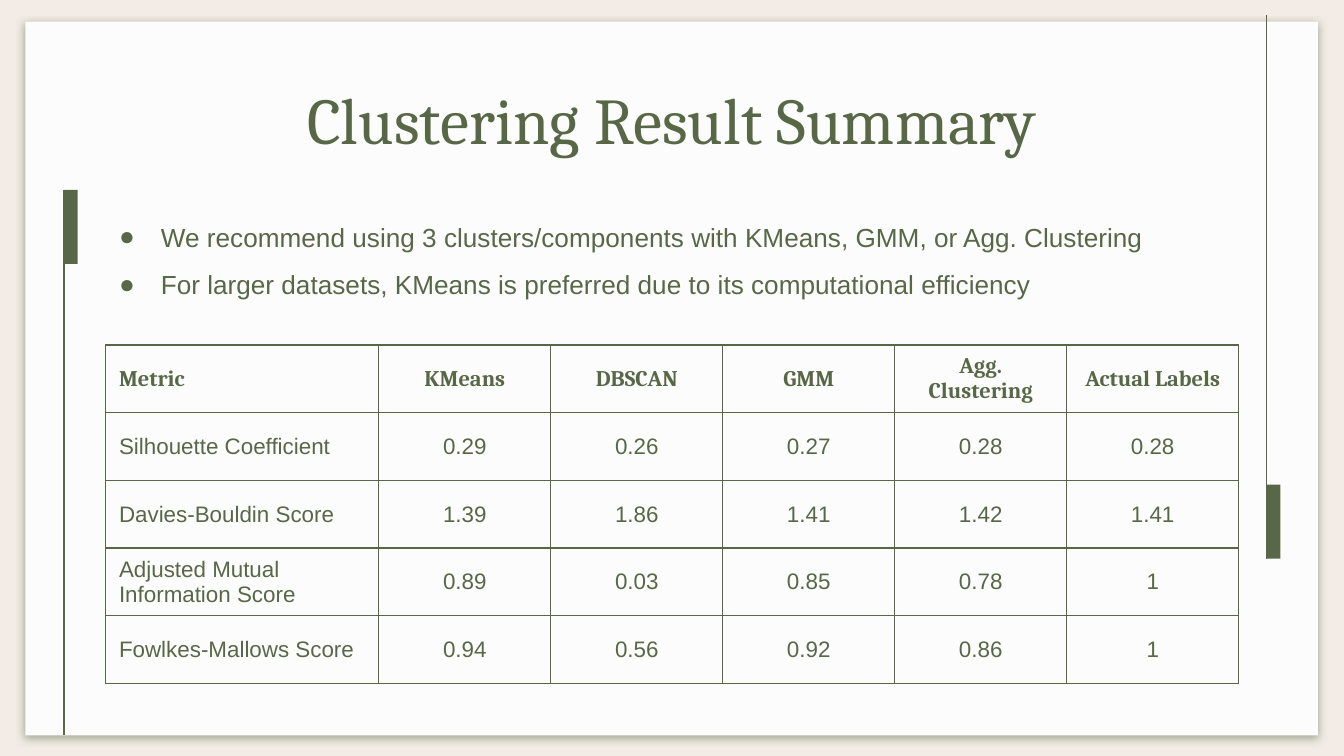
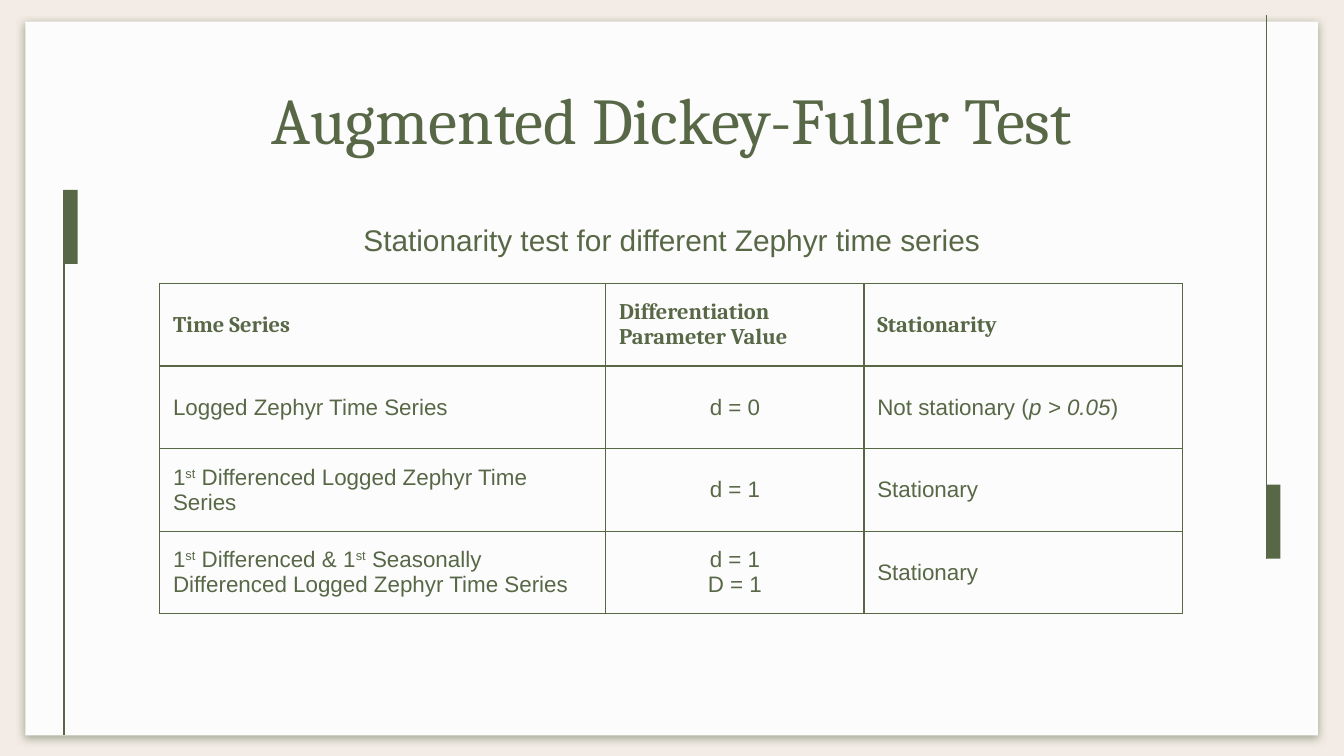
"""Build two slides that sum up clustering scores and a stationarity test."""
from lxml.etree import SubElement
from pptx import Presentation
from pptx.dml.color import RGBColor as RGB
from pptx.enum.shapes import MSO_CONNECTOR as CONN, MSO_SHAPE as SHAPE
from pptx.enum.text import MSO_ANCHOR as ANCHOR, MSO_AUTO_SIZE as AUTO, PP_ALIGN as ALIGN
from pptx.oxml.ns import qn
from pptx.util import Cm, Pt

COLORS = {"back": "F3ECE6", "panel": "FCFCFC", "green": "586847"}
HEAD, BODY = "Cambria", "Arial"

SLIDES = [
    {
        "title": "Clustering Result Summary",
        "body": [
            "We recommend using 3 clusters/components with KMeans, GMM, or Agg. Clustering",
            "For larger datasets, KMeans is preferred due to its computational efficiency",
        ],
        "bullets": True, "body_size": 14, "body_height": 2.24,
        "left": 2, "top": 6.52, "cols": [5.16] + [3.25] * 5, "row": 1.28,
        "centred": range(1, 6), "centre_header": True,
        "rows": [
            ["Metric", "KMeans", "DBSCAN", "GMM", "Agg. Clustering", "Actual Labels"],
            ["Silhouette Coefficient", "0.29", "0.26", "0.27", "0.28", "0.28"],
            ["Davies-Bouldin Score", "1.39", "1.86", "1.41", "1.42", "1.41"],
            ["Adjusted Mutual Information Score", "0.89", "0.03", "0.85", "0.78", "1"],
            ["Fowlkes-Mallows Score", "0.94", "0.56", "0.92", "0.86", "1"],
        ],
    },
    {
        "title": "Augmented Dickey-Fuller Test",
        "body": ["Stationarity test for different Zephyr time series"],
        "bullets": False, "body_size": 16, "body_height": 1.47,
        "left": 3.02, "top": 5.36, "cols": [8.43, 4.88, 6.02], "row": 1.56,
        "centred": [1], "centre_header": False,
        "rows": [
            ["Time Series", "Differentiation Parameter Value", "Stationarity"],
            ["Logged Zephyr Time Series", "d = 0", "Not stationary (|p > 0.05|)"],
            ["1|st| Differenced Logged Zephyr Time Series", "d = 1", "Stationary"],
            ["1|st| Differenced & 1|st| Seasonally Differenced Logged Zephyr Time Series",
             "d = 1\vD = 1", "Stationary"],
        ],
    },
]


def style_runs(p, name, size, bold=False):
    for r in p.runs:
        r.font.name, r.font.size, r.font.bold = name, Pt(size), bold
        r.font.color.rgb = RGB.from_string(COLORS["green"])


def add_color(parent, color):
    fill = SubElement(parent, qn("a:solidFill")) if parent.tag != qn("a:buClr") else parent
    SubElement(fill, qn("a:srgbClr"), val=COLORS[color])


prs = Presentation()
prs.slide_width, prs.slide_height = Cm(25.4), Cm(14.29)
master, layout = prs.slide_master, prs.slide_layouts[1]
master.background.fill.solid()
master.background.fill.fore_color.rgb = RGB.from_string(COLORS["back"])

slides = [prs.slides.add_slide(layout) for _ in SLIDES]
shapes = slides[0].shapes
frame = []
for color, box in [
    ("panel", (0.48, 0.41, 24.43, 13.49)),
    ("green", (1.21, 3.59, 0.26, 1.4)),
    ("green", (23.94, 9.16, 0.26, 1.4)),
]:
    sp = shapes.add_shape(SHAPE.RECTANGLE, *map(Cm, box))
    sp.fill.solid()
    sp.fill.fore_color.rgb = RGB.from_string(COLORS[color])
    sp.line.fill.background()
    sp.shadow.inherit = False
    frame.append(sp)
effects = frame[0].element.spPr.find(qn("a:effectLst"))
shadow = SubElement(effects, qn("a:outerShdw"), blurRad=str(Pt(4.5)), dist=str(Pt(1.5)),
                    dir="5400000", algn="bl", rotWithShape="0")
tint = SubElement(shadow, qn("a:srgbClr"), val=COLORS["green"])
SubElement(tint, qn("a:alpha"), val="50000")

for x, start, end in [(1.21, 3.59, 13.89), (23.94, 10.56, 0.28)]:
    line = shapes.add_connector(CONN.STRAIGHT, Cm(x), Cm(start), Cm(x), Cm(end))
    line.line.width = Pt(0.75)
    line.line.color.rgb = RGB.from_string(COLORS["green"])
    SubElement(line.element.spPr, qn("a:effectLst"))
    frame.append(line)

tree = master.shapes.element if hasattr(master.shapes, "element") else master.shapes._spTree
for i, sp in enumerate(frame):
    sp.element.xpath(".//p:cNvPr")[0].set("id", str(100 + i))
    tree.insert(2 + i, sp.element)

for s, data in zip(slides, SLIDES):
    title, body = s.shapes.title, s.placeholders[1]
    for sp, top, height in [(title, 1.25, 1.6), (body, 3.84, data["body_height"])]:
        sp.left, sp.top, sp.width, sp.height = Cm(2), Cm(top), Cm(21.4), Cm(height)
        tf = sp.text_frame
        tf.word_wrap, tf.auto_size, tf.vertical_anchor = True, AUTO.NONE, ANCHOR.TOP
        tf.margin_left = tf.margin_right = tf.margin_top = tf.margin_bottom = Cm(0.25)

    title.text_frame.text = data["title"]
    p = title.text_frame.paragraphs[0]
    p.alignment = ALIGN.CENTER
    style_runs(p, HEAD, 35)

    body.text_frame.text = "\n".join(data["body"])
    for p in body.text_frame.paragraphs:
        p.line_spacing, p.space_before = 1.15, Pt(0)
        p.space_after = Pt(6 if data["bullets"] else 0)
        p.alignment = ALIGN.LEFT if data["bullets"] else ALIGN.CENTER
        pPr = p._p.get_or_add_pPr()
        indent = Cm(0.79) if data["bullets"] else 0
        pPr.set("marL", str(indent))
        pPr.set("indent", str(-indent))
        if data["bullets"]:
            add_color(SubElement(pPr, qn("a:buClr")), "green")
            SubElement(pPr, qn("a:buFont"), typeface=BODY)
            SubElement(pPr, qn("a:buChar"), char="●")
        else:
            SubElement(pPr, qn("a:buNone"))
        style_runs(p, BODY, data["body_size"])

    rows, cols = data["rows"], data["cols"]
    table = s.shapes.add_table(len(rows), len(cols), Cm(data["left"]), Cm(data["top"]),
                               Cm(sum(cols)), Cm(data["row"] * len(rows))).table
    table.first_row = table.horz_banding = False
    for col, width in zip(table.columns, cols):
        col.width = Cm(width)
    for i, row in enumerate(rows):
        table.rows[i].height = Cm(data["row"])
        for j, text in enumerate(row):
            cell = table.cell(i, j)
            cell.fill.background()
            cell.vertical_anchor = ANCHOR.MIDDLE
            cell.margin_left = cell.margin_right = Cm(0.25)
            cell.margin_top = cell.margin_bottom = 0
            p = cell.text_frame.paragraphs[0]
            first, *rest = text.split("|")
            p.text = first
            for k, part in enumerate(rest):
                r = p.add_run()
                r.text = part
                if part == "st":
                    r.font._element.set("baseline", "30000")
                elif k % 2 == 0:
                    r.font.italic = True
            for br in p._p.findall(qn("a:br")):
                SubElement(br, qn("a:rPr"), sz="1200")
            header = i == 0
            style_runs(p, HEAD if header else BODY, 12, header)
            centred = j in data["centred"] and (not header or data["centre_header"])
            p.alignment = ALIGN.CENTER if centred else ALIGN.LEFT
            if not header:
                p.space_after = Pt(16)
            tcPr = cell._tc.get_or_add_tcPr()
            for n, side in enumerate(("lnL", "lnR", "lnT", "lnB")):
                ln = SubElement(tcPr, qn(f"a:{side}"), w=str(Pt(0.75)))
                add_color(ln, "green")
                tcPr.insert(n, ln)

prs.save("out.pptx")
